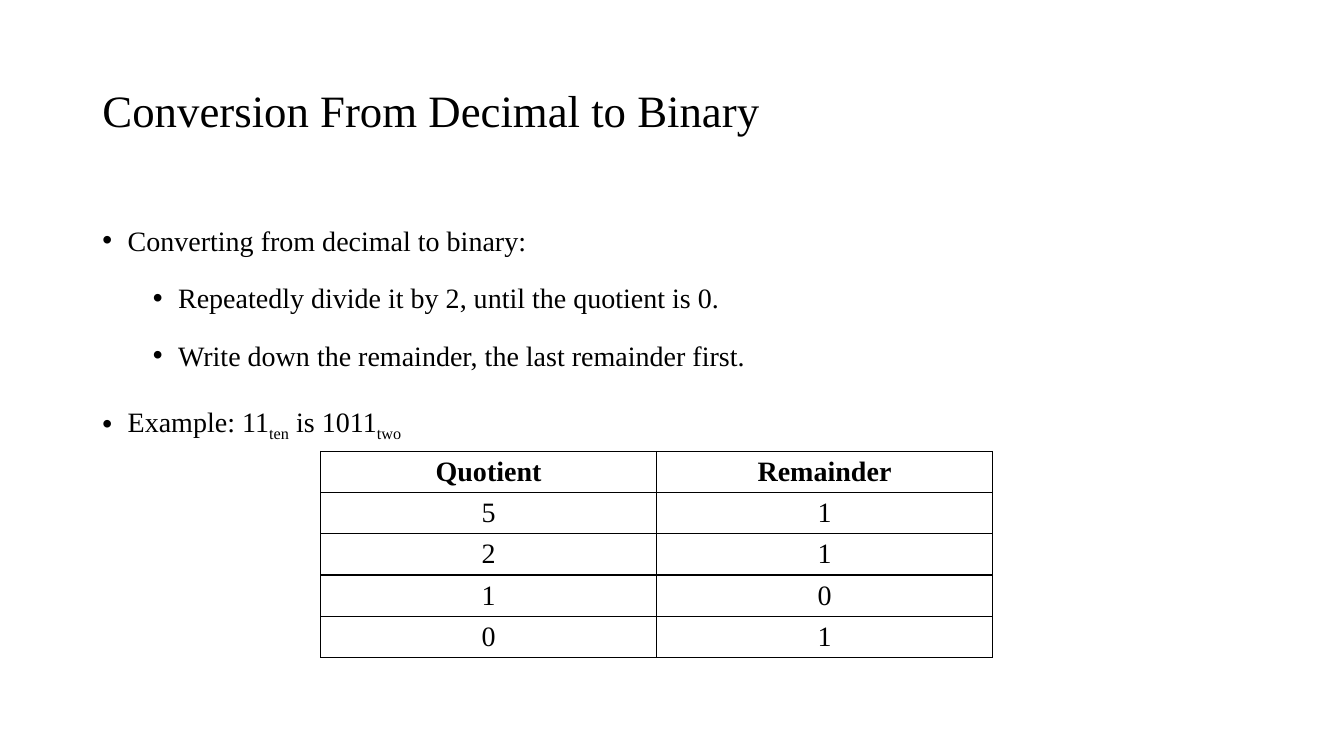
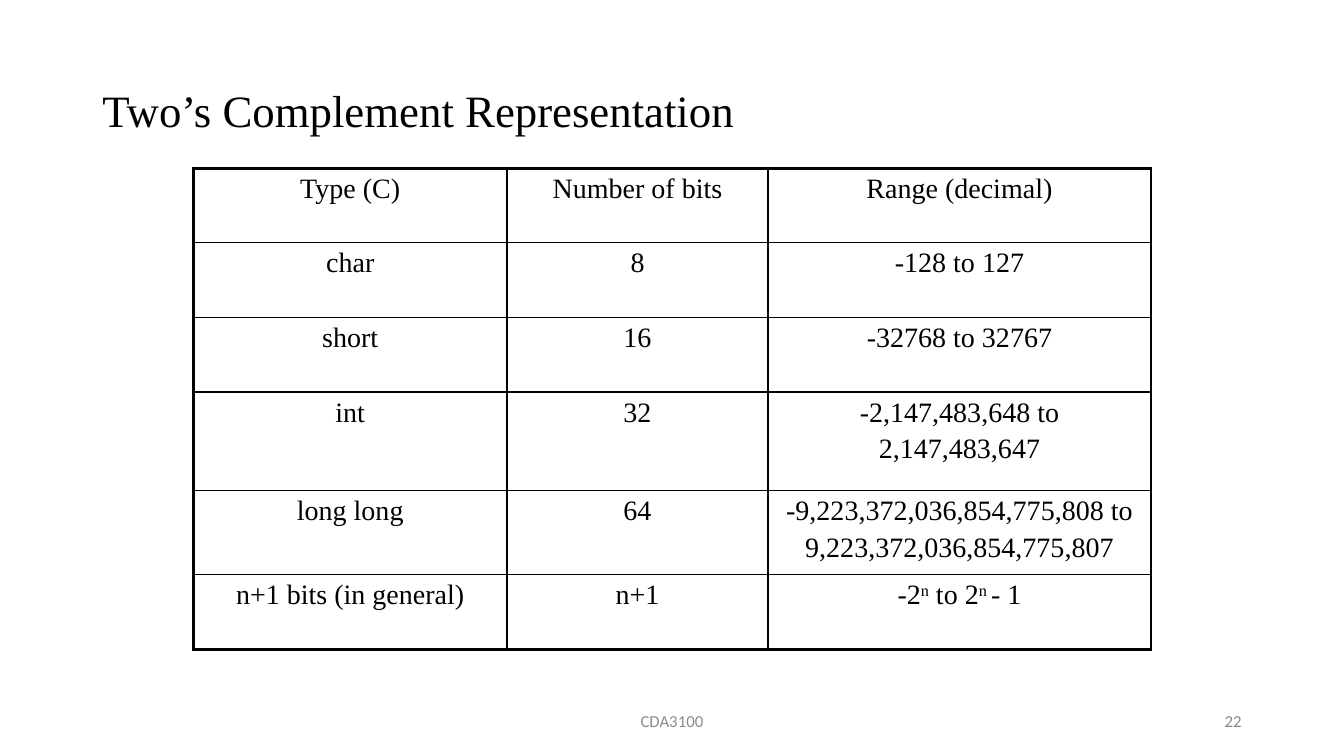
import dataclasses

import lxml.etree
import pptx
import pptx.dml.color
import pptx.enum.text
import pptx.oxml.ns
import pptx.util

Pt = pptx.util.Pt
qn = pptx.oxml.ns.qn
Align = pptx.enum.text.PP_ALIGN
Anchor = pptx.enum.text.MSO_ANCHOR


@dataclasses.dataclass(frozen=True)
class Theme:
    ink: str = "000000"
    gray: str = "8C8C8C"
    pale: str = "898989"
    serif: str = "Times New Roman"
    sans: str = "Calibri"
    head: int = 32
    text: int = 20
    note: int = 12
    thin: float = 1
    thick: float = 2.25


THEME = Theme()
LEFT, WIDTH = 66, 828

POINTS = [
    (0, ["Converting from decimal to binary:"]),
    (1, ["Repeatedly divide it by 2, until the quotient is 0."]),
    (1, ["Write down the remainder, the last remainder first."]),
    (0, ["Example: 11", ("ten", -25), " is 1011", ("two", -25)]),
]

STEPS = [
    ["Quotient", "Remainder"],
    ["5", "1"],
    ["2", "1"],
    ["1", "0"],
    ["0", "1"],
]

# A cell is a string, or a list of paragraphs that are lists of runs.
TYPES = [
    ["Type (C)", "Number of bits", "Range (decimal)"],
    ["char", "8", "-128 to 127"],
    ["short", "16", "-32768 to 32767"],
    ["int", "32", [["-2,147,483,648 to"], ["2,147,483,647"]]],
    ["long long", "64",
     [["-9,223,372,036,854,775,808 to"], ["9,223,372,036,854,775,807"]]],
    ["n+1 bits (in general)", "n+1",
     [["-2", ("n", 30), " to 2", ("n ", 30), "- 1"]]],
]


def place(shape, left, top, width, height):
    shape.left, shape.top = Pt(left), Pt(top)
    shape.width, shape.height = Pt(width), Pt(height)


def add_runs(para, runs, size=THEME.text, face=THEME.serif,
             color=THEME.ink, bold=False):
    """Add runs, each a string or a (string, baseline percent) pair."""
    for item in runs:
        text, base = (item, 0) if isinstance(item, str) else item
        run = para.add_run()
        run.text = text
        font = run.font
        font.size, font.name, font.bold = Pt(size), face, bold
        font.color.rgb = pptx.dml.color.RGBColor.from_string(color)
        if base:
            run._r.get_or_add_rPr().set("baseline", str(base * 1000))


def add_paras(frame, count):
    """Return count paragraphs, starting with the one already there."""
    return [frame.paragraphs[0]] + [
        frame.add_paragraph() for _ in range(count - 1)]


def set_title(slide, text):
    title = slide.shapes.title
    place(title, LEFT, 28.8, WIDTH, 104.4)
    frame = title.text_frame
    frame.auto_size = pptx.enum.text.MSO_AUTO_SIZE.NONE
    frame.vertical_anchor = Anchor.MIDDLE
    para = frame.paragraphs[0]
    para.alignment, para.line_spacing = Align.LEFT, 0.9
    add_runs(para, [text], THEME.head)


def set_bullet(para, level):
    props = para._p.get_or_add_pPr()
    props.set("marL", str(Pt(18 + 36 * level)))
    props.set("indent", str(Pt(-18)))
    lxml.etree.SubElement(props, qn("a:buFont")).set("typeface", "Arial")
    lxml.etree.SubElement(props, qn("a:buChar")).set("char", "•")


def set_list(body, points):
    place(body, LEFT, 144, WIDTH, 342.6)
    frame = body.text_frame
    frame.auto_size = pptx.enum.text.MSO_AUTO_SIZE.NONE
    for para, (level, runs) in zip(add_paras(frame, len(points)), points):
        para.level, para.line_spacing = level, 1.5
        para.space_before = Pt(5 if level else 10)
        set_bullet(para, level)
        add_runs(para, runs)


def set_edges(cell, widths):
    """Draw the left, right, top and bottom borders of a cell."""
    props = cell._tc.get_or_add_tcPr()
    for side, width in zip("LRTB", widths):
        line = lxml.etree.SubElement(props, qn("a:ln" + side))
        line.set("w", str(Pt(width)))
        fill = lxml.etree.SubElement(line, qn("a:solidFill"))
        lxml.etree.SubElement(fill, qn("a:srgbClr")).set("val", THEME.ink)


def add_grid(slide, left, top, cols, heights, rows, rim, bold=False, gap=0):
    """Add a table with rim as outer line width; bold marks the first row."""
    frame = slide.shapes.add_table(
        len(rows), len(cols), Pt(left), Pt(top),
        Pt(sum(cols)), Pt(sum(heights)))
    table = frame.table
    table.first_row = table.horz_banding = False
    for col, width in zip(table.columns, cols):
        col.width = Pt(width)
    for row, height in zip(table.rows, heights):
        row.height = Pt(height)
    for i, row in enumerate(rows):
        for j, value in enumerate(row):
            cell = table.cell(i, j)
            outer = (j == 0, j == len(cols) - 1, i == 0, i == len(rows) - 1)
            set_edges(cell, [rim if edge else THEME.thin for edge in outer])
            cell.fill.background()
            lines = [[value]] if isinstance(value, str) else value
            paras = add_paras(cell.text_frame, len(lines))
            for para, runs in zip(paras, lines):
                para.alignment, para.space_before = Align.CENTER, Pt(gap)
                add_runs(para, runs, bold=bold and i == 0)


def add_note(slide, left, width, text, align, color):
    box = slide.shapes.add_textbox(Pt(left), Pt(500.4), Pt(width), Pt(28.8))
    frame = box.text_frame
    frame.word_wrap, frame.vertical_anchor = True, Anchor.MIDDLE
    para = frame.paragraphs[0]
    para.alignment = align
    add_runs(para, [text], THEME.note, THEME.sans, color)


def add_footer(slide, course, number):
    add_note(slide, 318, 324, course, Align.CENTER, THEME.gray)
    add_note(slide, 678, 216, number, Align.RIGHT, THEME.pale)


def main():
    deck = pptx.Presentation()
    deck.slide_width, deck.slide_height = Pt(960), Pt(540)

    slide = deck.slides.add_slide(deck.slide_layouts[1])
    set_title(slide, "Conversion From Decimal to Binary")
    set_list(slide.placeholders[1], POINTS)
    add_grid(slide, 229, 322.5, [240] * 2, [29.4] * len(STEPS), STEPS,
             THEME.thin, bold=True)

    slide = deck.slides.add_slide(deck.slide_layouts[5])
    set_title(slide, "Two’s Complement Representation")
    add_grid(slide, 138.2, 120.2, [224, 186.4, 273.6],
             [53.3] * 3 + [70.6, 59.8, 53.3], TYPES, THEME.thick, gap=4)
    add_footer(slide, "CDA3100", "22")

    deck.save("out.pptx")


if __name__ == "__main__":
    main()
